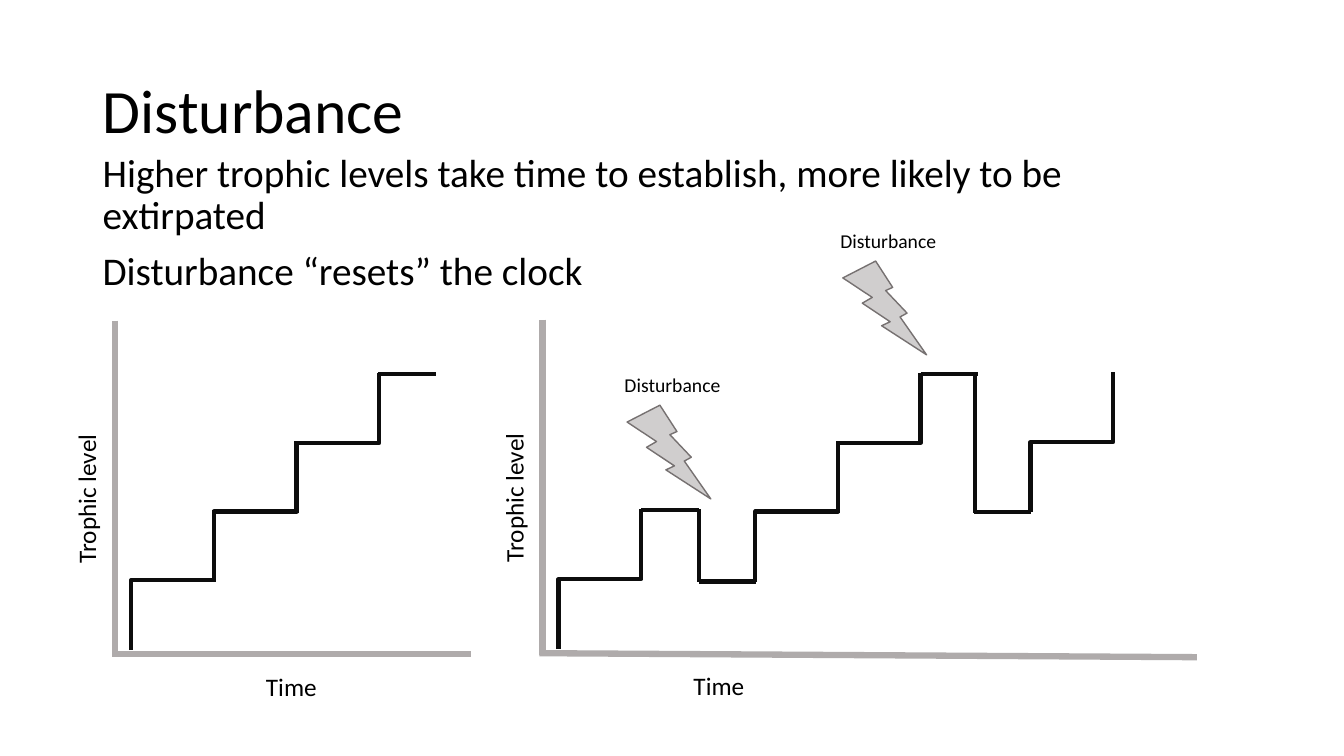
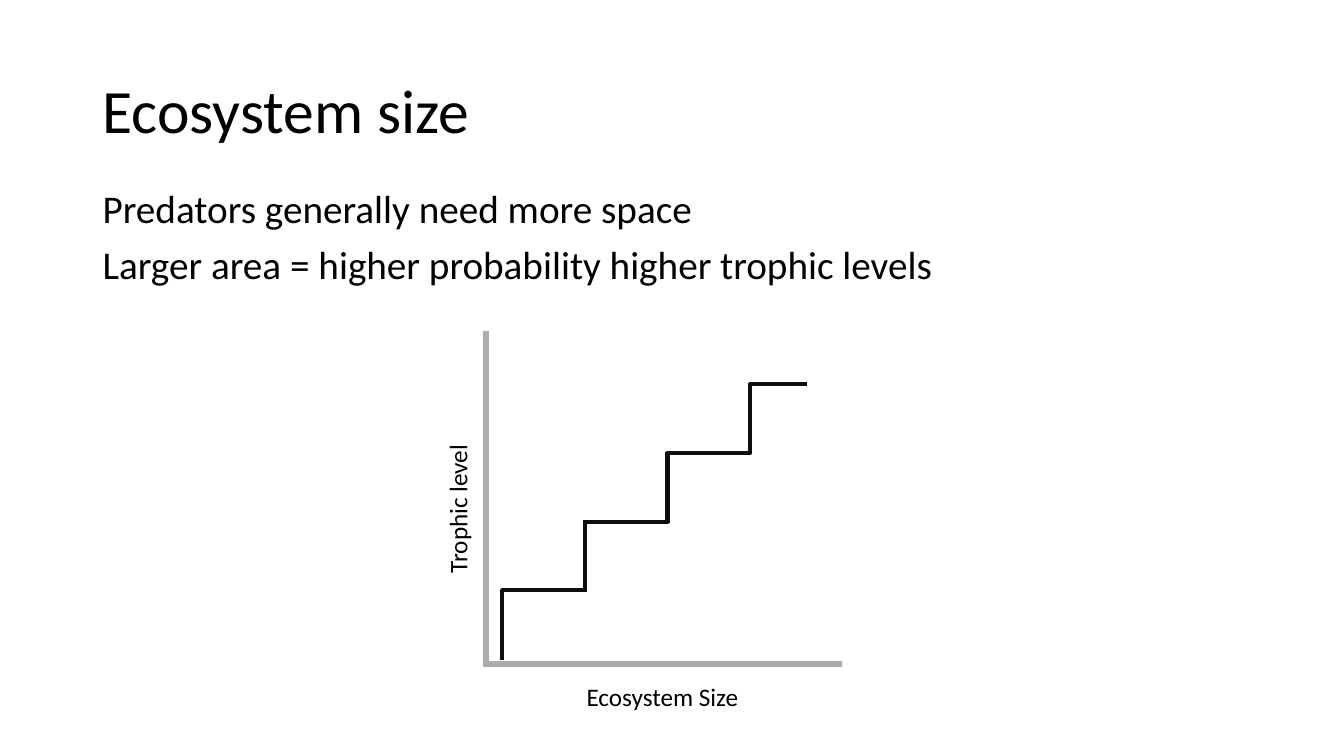
from dataclasses import dataclass

import pptx
import pptx.dml.color
import pptx.enum.shapes
import pptx.enum.text
import pptx.oxml.ns
import pptx.oxml.xmlchemy
import pptx.util

PX = 9144  # one px is a hundredth of an inch
Point = tuple[int, int]


@dataclass(frozen=True)
class Theme:
    font: str = "Calibri"
    text: str = "000000"
    axis: str = "AFABAB"
    curve: str = "0D0D0D"
    bolt_fill: str = "D0CECE"
    bolt_line: str = "767171"
    title_size: float = 44
    body_size: float = 28
    axis_size: float = 18
    note_size: float = 14
    axis_width: float = 4.5
    curve_width: float = 3
    bolt_width: float = 1


@dataclass(frozen=True)
class Box:
    left: int
    top: int
    width: int
    height: int


@dataclass(frozen=True)
class Graph:
    """Axes with a stepped curve; curve points are relative to left and top."""
    left: int
    top: int
    time_label: str
    steps: tuple[Point, ...]
    segments: tuple[tuple[Point, Point], ...]
    axis_length: int = 353
    tilt: int = 0


@dataclass(frozen=True)
class Page:
    title: str
    body: str
    body_top: int
    graphs: tuple[Graph, ...]
    bolts: tuple[Point, ...] = ()


THEME = Theme()
AXIS_HEIGHT = 333
STEP_RUN, STEP_RISE, STEP_PITCH = 82, 139, 68

# Three equal steps and a final plateau
STAIRS = tuple((16 + STEP_RUN * i, 327 - STEP_PITCH * i) for i in range(3))
PLATEAU = (((261, 53), (318, 53)),)

PAGES = (
    Page(
        "Disturbance",
        "Higher trophic levels take time to establish, more likely to be extirpated\n"
        "Disturbance “resets” the clock",
        147,
        (
            Graph(114, 318, "Time", STAIRS, PLATEAU),
            Graph(
                538, 317, "Time",
                steps=((16, 327), (211, 260), (293, 192), (484, 191)),
                segments=(
                    ((98, 189), (155, 189)),
                    ((155, 188), (155, 260)),
                    ((155, 260), (212, 260)),
                    ((375, 54), (432, 54)),
                    ((429, 55), (429, 192)),
                    ((428, 191), (485, 191)),
                ),
                axis_length=649,
                tilt=4,
            ),
        ),
        bolts=((622, 402), (836, 259)),
    ),
    Page(
        "Ecosystem size",
        "Predators generally need more space\n"
        "Larger area = higher probability higher trophic levels",
        183,
        (Graph(482, 328, "Ecosystem Size", STAIRS, PLATEAU),),
    ),
)


def px(length: float) -> int:
    return round(length * PX)


def rgb(color: str) -> pptx.dml.color.RGBColor:
    return pptx.dml.color.RGBColor.from_string(color)


def add_text(slide, box: Box, text: str, size: float):
    area = slide.shapes.add_textbox(px(box.left), px(box.top), px(box.width), px(box.height))
    frame = area.text_frame
    frame.word_wrap = True
    frame.text = text
    for paragraph in frame.paragraphs:
        for run in paragraph.runs:
            run.font.name = THEME.font
            run.font.size = pptx.util.Pt(size)
            run.font.color.rgb = rgb(THEME.text)
    return area


def add_heading(slide, box: Box, text: str, size: float):
    """Title and body text, set tight with a gap between paragraphs."""
    area = add_text(slide, box, text, size)
    for index, paragraph in enumerate(area.text_frame.paragraphs):
        paragraph.line_spacing = 0.9
        if index:
            paragraph.space_before = pptx.util.Pt(10)
    return area


def add_label(slide, box: Box, text: str, size: float, rotation: int = 0) -> None:
    label = add_text(slide, box, text, size)
    label.rotation = rotation
    label.text_frame.paragraphs[0].alignment = pptx.enum.text.PP_ALIGN.CENTER


def add_line(slide, start, end, color: str, width: float,
             kind=pptx.enum.shapes.MSO_CONNECTOR.STRAIGHT):
    line = slide.shapes.add_connector(kind, *(px(v) for v in (*start, *end)))
    line.line.color.rgb = rgb(color)
    line.line.width = pptx.util.Pt(width)
    line._element.spPr.append(pptx.oxml.xmlchemy.OxmlElement("a:effectLst"))
    return line


def add_step(slide, x: int, y: int) -> None:
    """Rise, run, rise: an elbow turned by 90 degrees about its centre."""
    center_x, center_y = x + STEP_RUN / 2, y - STEP_RISE / 2
    half_width, half_height = STEP_RISE / 2, STEP_RUN / 2
    step = add_line(
        slide,
        (center_x + half_width, center_y + half_height),
        (center_x - half_width, center_y - half_height),
        THEME.curve, THEME.curve_width, pptx.enum.shapes.MSO_CONNECTOR.ELBOW,
    )
    step._element.spPr.find(pptx.oxml.ns.qn("a:xfrm")).set("rot", str(90 * 60000))


def add_graph(slide, graph: Graph) -> None:
    left, top = graph.left, graph.top
    # Axes
    foot = top + AXIS_HEIGHT - 2
    for start, end in (
        ((left, top), (left, top + AXIS_HEIGHT)),
        ((left + graph.axis_length, foot + graph.tilt), (left - 3, foot)),
    ):
        add_line(slide, start, end, THEME.axis, THEME.axis_width)
    # Stepped curve
    for x, y in graph.steps:
        add_step(slide, left + x, top + y)
    for (x1, y1), (x2, y2) in graph.segments:
        add_line(slide, (left + x1, top + y1), (left + x2, top + y2),
                 THEME.curve, THEME.curve_width)
    # Axis labels
    add_label(slide, Box(left + 52, top + 343, 246, 40), graph.time_label, THEME.axis_size)
    add_label(slide, Box(left - 163, top + 157, 269, 40), "Trophic level",
              THEME.axis_size, rotation=270)


def add_bolt(slide, left: int, top: int) -> None:
    bolt = slide.shapes.add_shape(
        pptx.enum.shapes.MSO_SHAPE.LIGHTNING_BOLT, px(left), px(top), px(83), px(93))
    bolt.shadow.inherit = False
    bolt.fill.solid()
    bolt.fill.fore_color.rgb = rgb(THEME.bolt_fill)
    bolt.line.color.rgb = rgb(THEME.bolt_line)
    bolt.line.width = pptx.util.Pt(THEME.bolt_width)
    add_label(slide, Box(left - 16, top - 37, 122, 34), "Disturbance", THEME.note_size)


def add_page(deck, page: Page) -> None:
    slide = deck.slides.add_slide(deck.slide_layouts[6])
    title = add_heading(slide, Box(92, 40, 1150, 145), page.title, THEME.title_size)
    title.text_frame.vertical_anchor = pptx.enum.text.MSO_ANCHOR.MIDDLE
    add_heading(slide, Box(92, page.body_top, 1084, 172), page.body, THEME.body_size)
    for graph in page.graphs:
        add_graph(slide, graph)
    for left, top in page.bolts:
        add_bolt(slide, left, top)


def main() -> None:
    deck = pptx.Presentation()
    deck.slide_width, deck.slide_height = px(1333), px(750)
    for page in PAGES:
        add_page(deck, page)
    deck.save("out.pptx")


if __name__ == "__main__":
    main()
